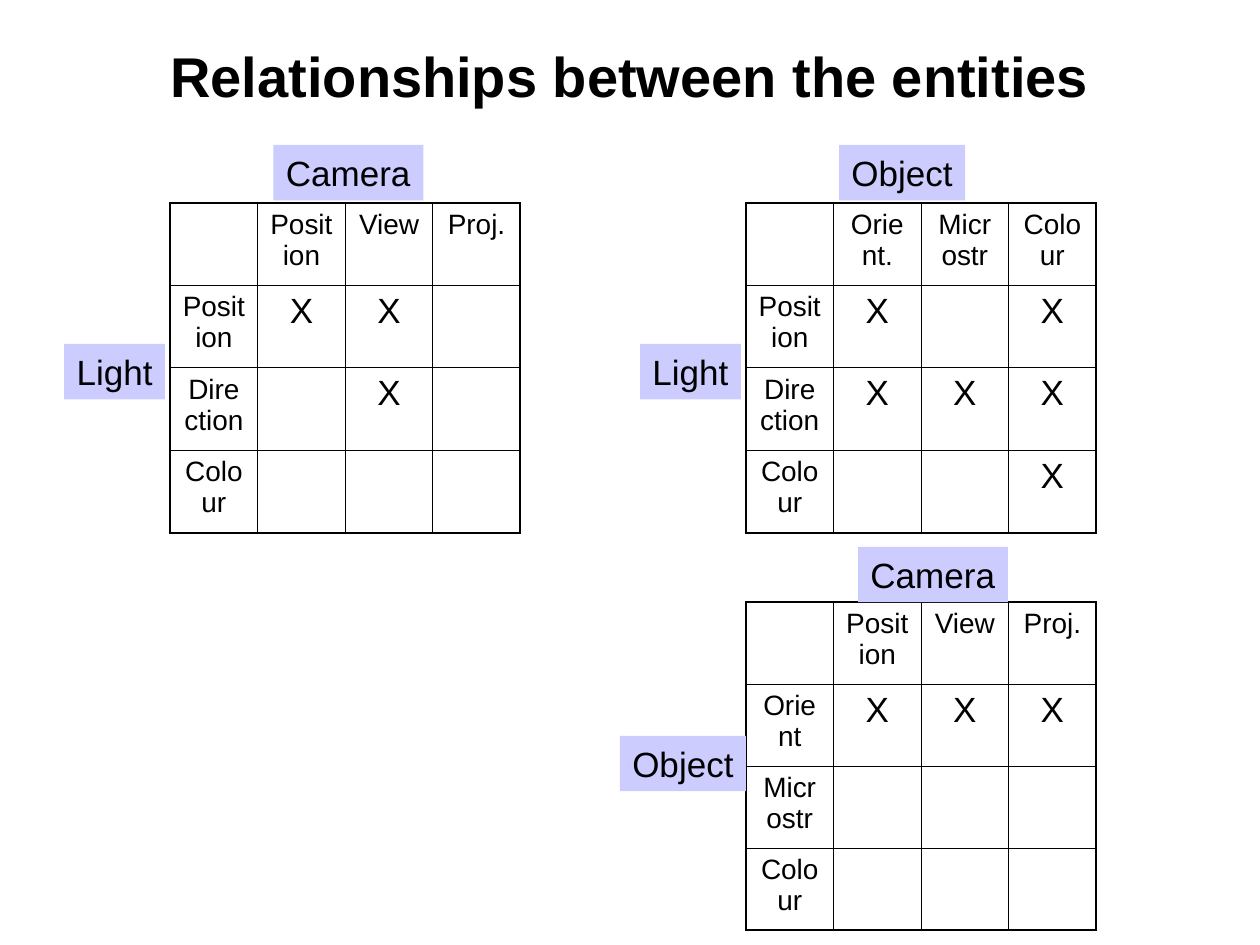
from lxml import etree
from pptx import Presentation
from pptx import util as u
from pptx.dml.color import RGBColor
from pptx.enum import shapes, text
from pptx.oxml.ns import qn

BLACK, LILAC = "000000", "CCCCFF"
THIN, THICK = 0.45, 1.08
LABEL_H = 0.44
LABEL_W = {"Camera": 1.19, "Light": 0.8, "Object": 1}
CAMERA = ["Position", "View", "Proj."]
LIGHT = ["Position", "Direction", "Colour"]


def rgb(hex_colour):
    return RGBColor.from_string(hex_colour)


def add_text(tf, content, size, bold=False, align=None, before=0, after=0):
    p = tf.paragraphs[0]
    p.alignment = align
    p.space_before, p.space_after = u.Pt(before), u.Pt(after)
    r = p.add_run()
    r.text = content
    r.font.name, r.font.size, r.font.bold = "Arial", u.Pt(size), bold
    r.font.color.rgb = rgb(BLACK)


def add_title(s, left, top, width, height, content):
    tf = s.shapes.add_textbox(*map(u.Inches, (left, top, width, height))).text_frame
    tf.word_wrap = True
    tf.vertical_anchor = text.MSO_ANCHOR.MIDDLE
    add_text(tf, content, 32, True, text.PP_ALIGN.CENTER, 12, 6)


def add_label(s, left, top, content):
    box = (left, top, LABEL_W[content], LABEL_H)
    sp = s.shapes.add_shape(shapes.MSO_SHAPE.RECTANGLE, *map(u.Inches, box))
    sp.shadow.inherit = False
    sp.fill.solid()
    sp.fill.fore_color.rgb = rgb(LILAC)
    sp.line.fill.background()
    tf = sp.text_frame
    tf.word_wrap = True
    tf.margin_right = u.Inches(0.02)  # slack keeps the word on one line
    tf.vertical_anchor = text.MSO_ANCHOR.TOP
    add_text(tf, content, 20, align=text.PP_ALIGN.LEFT)


def set_borders(cell, outer):
    """Draw the four cell edges, thick on the sides named in outer."""
    tc_pr = cell._tc.get_or_add_tcPr()
    for side in "LRTB":
        width = THICK if side in outer else THIN
        ln = etree.SubElement(tc_pr, qn(f"a:ln{side}"), w=str(u.Pt(width)))
        fill = etree.SubElement(ln, qn("a:solidFill"))
        etree.SubElement(fill, qn("a:srgbClr"), val=BLACK)


def add_matrix(s, left, top, width, height, columns, rows, marks):
    """Relationship table; marks holds one string per row, X where related."""
    grid = [["", *columns]]
    grid += [[name, *line.replace(".", " ")] for name, line in zip(rows, marks)]
    n = len(grid)
    box = map(u.Inches, (left, top, width, height))
    table = s.shapes.add_table(n, n, *box).table
    table.first_row = table.horz_banding = False
    for i, line in enumerate(grid):
        table.rows[i].height = u.Inches(height / n)
        table.columns[i].width = u.Inches(width / n)
        for j, content in enumerate(line):
            cell = table.cell(i, j)
            edges = {"L": j == 0, "R": j == n - 1, "T": i == 0, "B": i == n - 1}
            set_borders(cell, [side for side, outer in edges.items() if outer])
            cell.fill.background()
            if content.strip():
                add_text(cell.text_frame, content, 20 if content == "X" else 16,
                         align=text.PP_ALIGN.CENTER, before=6)


def main():
    prs = Presentation()
    prs.slide_width, prs.slide_height = u.Inches(10), u.Inches(7.5)
    s = prs.slides.add_slide(prs.slide_layouts[6])
    add_title(s, 0.75, -0.03, 8.5, 1.25, "Relationships between the entities")

    add_matrix(s, 1.35, 1.61, 2.78, 2.62, CAMERA, LIGHT, ["XX.", ".X.", "..."])
    add_matrix(s, 5.92, 1.61, 2.78, 2.62, ["Orient.", "Microstr", "Colour"],
               LIGHT, ["X.X", "XXX", "..X"])
    add_matrix(s, 5.92, 4.78, 2.78, 2.6, CAMERA,
               ["Orient", "Microstr", "Colour"], ["XXX", "...", "..."])

    for left, top, name in [(2.17, 1.15, "Camera"), (0.51, 2.73, "Light"),
                            (6.66, 1.15, "Object"), (6.81, 4.34, "Camera"),
                            (4.92, 5.84, "Object"), (5.08, 2.73, "Light")]:
        add_label(s, left, top, name)
    prs.save("out.pptx")


if __name__ == "__main__":
    main()
